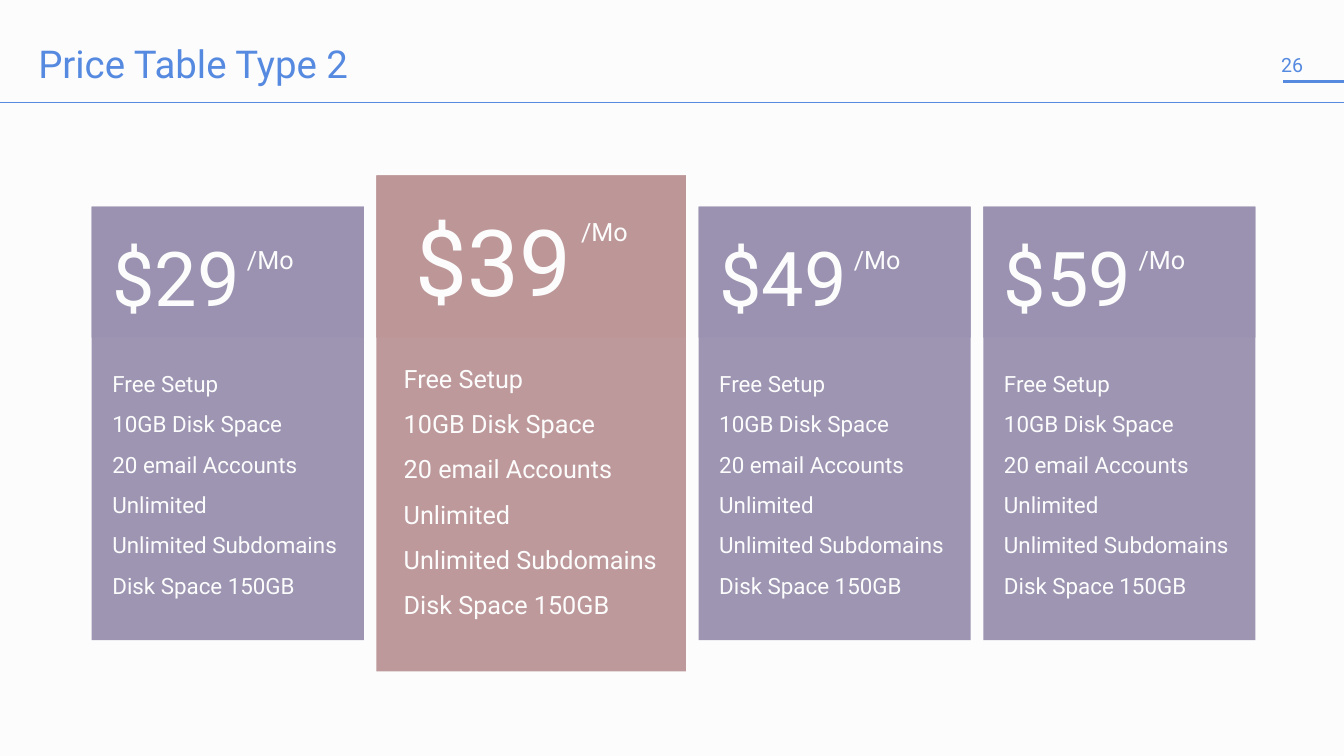
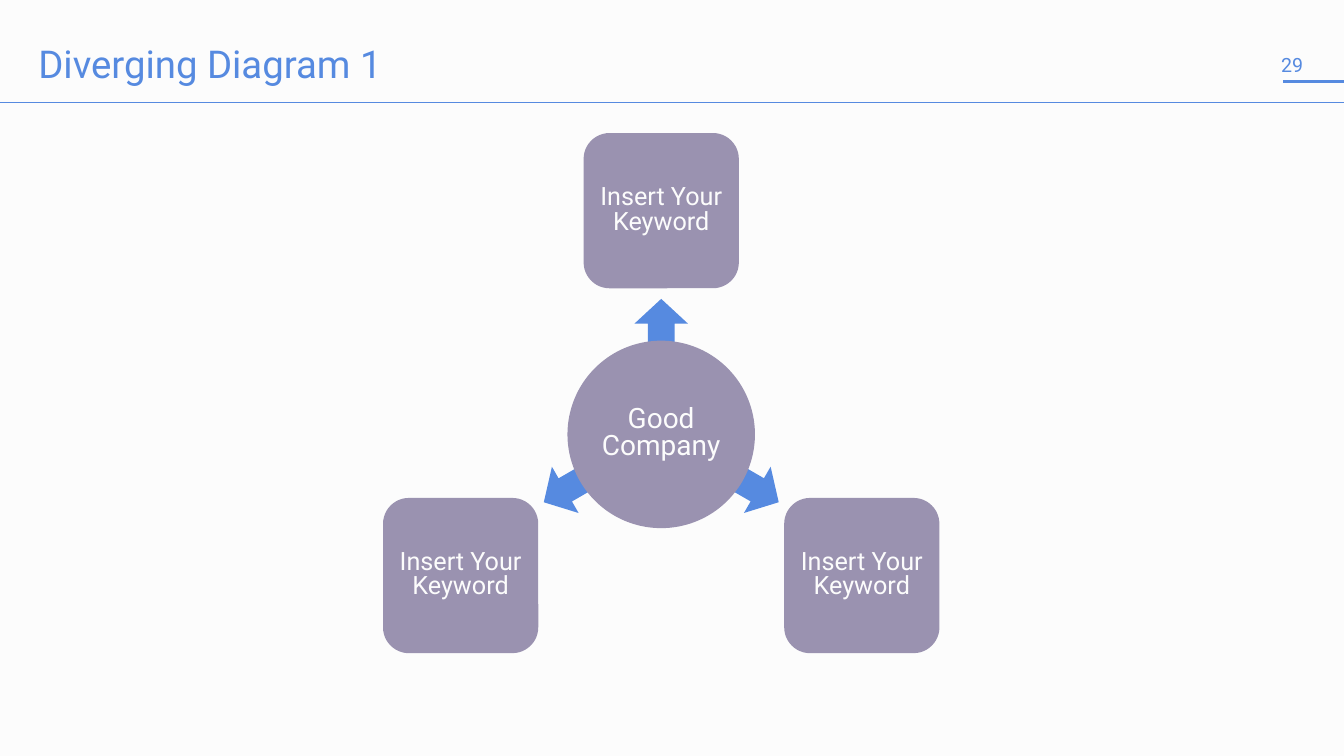
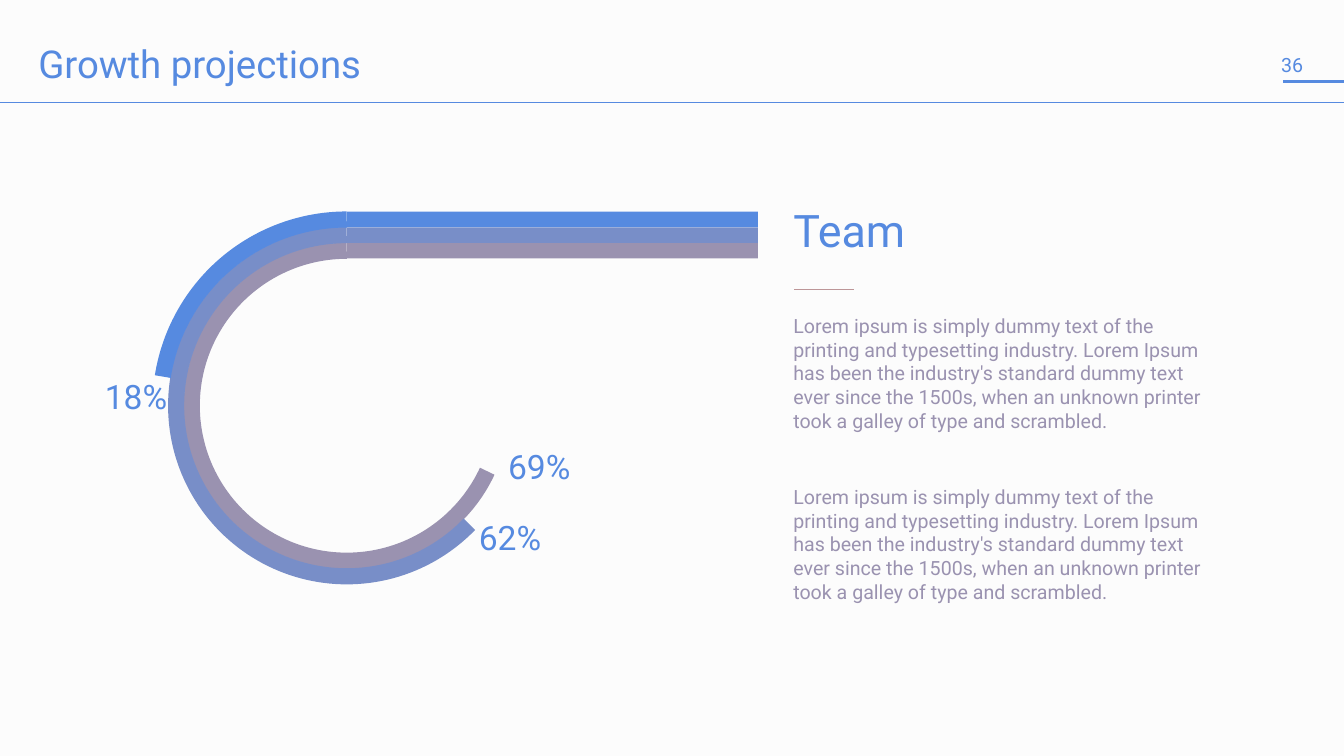
import dataclasses
import math
import typing

import pptx
import pptx.dml.color
import pptx.enum.shapes
import pptx.enum.text
import pptx.oxml
import pptx.oxml.ns
import pptx.util

COLORS = {"paper": "FCFCFC", "blue": "568AE0", "mauve": "9A92B0",
          "rose": "BD9698", "steel": "788EC8"}
FONT = "Roboto"
# The grid has square cells, ten to the inch
CELL = pptx.util.Inches(0.1)
COLUMNS, ROWS = 133.33, 75

SHAPES = pptx.enum.shapes.MSO_SHAPE
ANCHOR = pptx.enum.text.MSO_ANCHOR
ALIGN = pptx.enum.text.PP_ALIGN


class Box(typing.NamedTuple):
    """Column, row, width and height in grid cells."""
    column: float
    row: float
    width: float
    height: float


def centred(x: float, y: float, width: float, height: float) -> Box:
    return Box(x - width / 2, y - height / 2, width, height)


@dataclasses.dataclass(frozen=True)
class TextStyle:
    size: float
    color: str
    spacing: typing.Any = 1.0
    align: typing.Any = ALIGN.LEFT
    anchor: typing.Any = ANCHOR.TOP
    inset: float = 0
    gap: float = 0
    wrap: bool = True


@dataclasses.dataclass(frozen=True)
class CardStyle:
    color: str
    row: float
    width: float
    height: float
    header: float
    price: Box
    price_size: float
    period: Box
    features: Box
    feature_size: float


@dataclasses.dataclass(frozen=True)
class Spoke:
    angle: int
    across: float
    down: float


@dataclasses.dataclass(frozen=True)
class Track:
    color: str
    end_angle: int
    label: str
    label_column: float
    label_row: float


TITLE = TextStyle(27.4, "blue", spacing=0.75, inset=0.5)
PAGE_NUMBER = TextStyle(14, "blue", anchor=ANCHOR.MIDDLE, inset=0.7, wrap=False)


# Shared drawing
def cells(count: float) -> pptx.util.Emu:
    return pptx.util.Emu(round(count * CELL))


def rgb(color: str) -> pptx.dml.color.RGBColor:
    return pptx.dml.color.RGBColor.from_string(COLORS[color])


def move(shape, box: Box) -> None:
    shape.left, shape.top, shape.width, shape.height = map(cells, box)


def write(shape, lines: typing.Sequence[str], style: TextStyle) -> None:
    frame = shape.text_frame
    frame.auto_size = pptx.enum.text.MSO_AUTO_SIZE.NONE
    frame.word_wrap = style.wrap
    frame.vertical_anchor = style.anchor
    frame.margin_left = frame.margin_right = cells(style.inset)
    frame.margin_top = frame.margin_bottom = cells(style.inset)
    for index, line in enumerate(lines):
        para = frame.add_paragraph() if index else frame.paragraphs[0]
        properties = para._p.get_or_add_pPr()
        properties.set("marL", "0")
        properties.set("indent", "0")
        properties.append(pptx.oxml.parse_xml(
            f"<a:buNone {pptx.oxml.ns.nsdecls('a')}/>"))
        para.alignment = style.align
        para.line_spacing = style.spacing
        para.space_before = pptx.util.Pt(style.gap if index else 0)
        span = para.add_run()
        span.text = line
        span.font.name = FONT
        span.font.size = pptx.util.Pt(style.size)
        span.font.bold = False
        span.font.color.rgb = rgb(style.color)


def add_label(page, box: Box, line: str, style: TextStyle) -> None:
    write(page.shapes.add_textbox(*map(cells, box)), [line], style)


def add_block(page, kind, box: Box, color: str, opacity: int = 100):
    block = page.shapes.add_shape(kind, *map(cells, box))
    block.shadow.inherit = False
    block.fill.solid()
    block.fill.fore_color.rgb = rgb(color)
    block.line.fill.background()
    if opacity < 100:
        tint = block.element.spPr.find(".//" + pptx.oxml.ns.qn("a:srgbClr"))
        tint.append(pptx.oxml.parse_xml(
            f"<a:alpha {pptx.oxml.ns.nsdecls('a')} val='{opacity * 1000}'/>"))
    return block


def add_rule(page, start: float, end: float, row: float, color: str, weight: float):
    rule = page.shapes.add_connector(
        pptx.enum.shapes.MSO_CONNECTOR.STRAIGHT,
        cells(start), cells(row), cells(end), cells(row))
    rule.line.color.rgb = rgb(color)
    rule.line.width = pptx.util.Pt(weight)
    rule.element.spPr.append(pptx.oxml.parse_xml(
        f"<a:effectLst {pptx.oxml.ns.nsdecls('a')}/>"))
    return rule


def start_page(deck, layout_name: str, title: str, number: int):
    page = deck.slides.add_slide(deck.slide_layouts.get_by_name(layout_name))
    move(page.shapes.title, Box(3.3, 4.5, 114.3, 5.4))
    write(page.shapes.title, [title], TITLE)
    add_label(page, Box(126.4, 4.6, 3.6, 3.7), str(number), PAGE_NUMBER)
    return page


def dress_master(deck, page) -> None:
    """Draw the header rules on a page, then hand them to the master."""
    master = deck.slide_master
    master.background.fill.solid()
    master.background.fill.fore_color.rgb = rgb("paper")
    rules = [add_rule(page, 127.3, COLUMNS, 8.1, "blue", 2),
             add_rule(page, 0, COLUMNS, 10.2, "blue", 0.5)]
    for identity, rule in enumerate(rules, start=51):
        rule.element.nvCxnSpPr.cNvPr.set("id", str(identity))
        master.shapes.element.append(rule.element)


# Price table
FEATURES = ["Free Setup", "10GB Disk Space", "20 email Accounts", "Unlimited",
            "Unlimited Subdomains", "Disk Space 150GB"]
# Boxes inside a card are measured from its top left corner
PLAIN = CardStyle("mauve", 20.5, 27, 43, 13, Box(2.05, 2.4, 14.1, 9.1), 54,
                  Box(15.4, 3.7, 10.1, 3), Box(2.05, 14.9, 25, 23.8), 16)
FEATURED = CardStyle("rose", 17.4, 30.7, 49.2, 16.1, Box(3.9, 2.8, 17.5, 11.1), 66,
                     Box(20.3, 4.1, 10.1, 3), Box(2.7, 17.1, 26.5, 26.8), 18)
CARDS = [("$29", PLAIN), ("$39", FEATURED), ("$49", PLAIN), ("$59", PLAIN)]
CARD_START, CARD_GAP = 9.1, 1.25


def draw_card(page, column: float, price: str, style: CardStyle, feature_list) -> None:
    def inside(box: Box) -> Box:
        return box._replace(column=column + box.column, row=style.row + box.row)

    for height, opacity in ((style.height, 97), (style.header, 100)):
        add_block(page, SHAPES.RECTANGLE, Box(column, style.row, style.width, height),
                  style.color, opacity)
    add_label(page, inside(style.price), price, TextStyle(style.price_size, "paper"))
    add_label(page, inside(style.period), "/Mo", TextStyle(18, "paper"))
    move(feature_list, inside(style.features))
    write(feature_list, FEATURES, TextStyle(style.feature_size, "paper", spacing=1.5))
    # Bring the list in front of its card
    page.shapes.element.append(feature_list.element)


def draw_price_table(page) -> None:
    lists = [item for item in page.placeholders if item.placeholder_format.idx > 0]
    column = CARD_START
    for (price, style), feature_list in zip(CARDS, lists):
        draw_card(page, column, price, style, feature_list)
        column += style.width + CARD_GAP


# Diverging diagram
HUB_X, HUB_Y, HUB_SIZE = 65.6, 43.1, 18.6
NODE_SIZE, ARROW_DISTANCE = 15.4, 11
SPOKES = [Spoke(270, 0, -22.2), Spoke(30, 19.9, 14), Spoke(150, -19.9, 14)]


def draw_diagram(page) -> None:
    hub_text = TextStyle(20, "paper", 0.8, ALIGN.CENTER, ANCHOR.MIDDLE)
    node_text = dataclasses.replace(hub_text, size=18, inset=0.5)
    for spoke in SPOKES:
        turn = math.radians(spoke.angle)
        arrow = add_block(page, SHAPES.RIGHT_ARROW, centred(
            HUB_X + ARROW_DISTANCE * math.cos(turn),
            HUB_Y + ARROW_DISTANCE * math.sin(turn), 4.9, 5.3), "blue")
        arrow.rotation = spoke.angle
        node = add_block(page, SHAPES.ROUNDED_RECTANGLE, centred(
            HUB_X + spoke.across, HUB_Y + spoke.down, NODE_SIZE, NODE_SIZE), "mauve")
        write(node, ["Insert Your Keyword"], node_text)
    hub = add_block(page, SHAPES.OVAL, centred(HUB_X, HUB_Y, HUB_SIZE, HUB_SIZE), "mauve")
    write(hub, ["Good", "Company"], hub_text)


# Growth projections
TRACKS = [Track("blue", 189, "18%", 9.9, 37.6),
          Track("steel", 44, "62%", 47, 51.6),
          Track("mauve", 25, "69%", 49.9, 44.5)]
RING_X, RING_Y = 34.4, 40.25
BAR_TOP, BAR_HEIGHT, BAR_WIDTH = 21, 1.55, 40.8
LOREM = ("Lorem ipsum is simply dummy text of the printing and typesetting industry. "
         "Lorem Ipsum has been the industry's standard dummy text ever since the 1500s, "
         "when an unknown printer took a galley of type and scrambled.")


def add_arc(page, radius: float, end_angle: int, color: str) -> None:
    arc = page.shapes.add_shape(SHAPES.ARC, *map(
        cells, centred(RING_X, RING_Y, 2 * radius, 2 * radius)))
    arc.shadow.inherit = False
    arc.fill.background()
    arc.line.color.rgb = rgb(color)
    arc.line.width = pptx.util.Pt(11.5)
    # Arc angles are stored as 0.6 units a degree, clockwise from the right
    arc.adjustments[0] = end_angle * 0.6
    arc.adjustments[1] = 270 * 0.6


def draw_growth(page) -> None:
    label_text = TextStyle(24, "blue", spacing=0.8, inset=0.5, wrap=False)
    for index, track in reversed(list(enumerate(TRACKS))):
        top = BAR_TOP + index * BAR_HEIGHT
        add_arc(page, RING_Y - top - BAR_HEIGHT / 2, track.end_angle, track.color)
        add_block(page, SHAPES.RECTANGLE, Box(RING_X, top, BAR_WIDTH, BAR_HEIGHT),
                  track.color)
    for track in TRACKS:
        add_label(page, Box(track.label_column, track.label_row, 7.3, 4.9),
                  track.label, label_text)
    add_label(page, Box(78.2, 20.2, 41.5, 6.3), "Team",
              TextStyle(32, "blue", spacing=0.9, inset=0.5))
    add_rule(page, 78.8, 84.7, 28.7, "rose", 1)
    body = page.placeholders[1]
    move(body, Box(78.2, 30.6, 41.5, 30))
    write(body, [LOREM, LOREM], TextStyle(
        14, "mauve", spacing=pptx.util.Pt(17), inset=0.5, gap=37))


def main() -> None:
    deck = pptx.Presentation()
    deck.slide_width, deck.slide_height = cells(COLUMNS), cells(ROWS)
    prices = start_page(deck, "Comparison", "Price Table Type 2", 26)
    dress_master(deck, prices)
    draw_price_table(prices)
    draw_diagram(start_page(deck, "Title Only", "Diverging Diagram 1", 29))
    draw_growth(start_page(deck, "Title and Content", "Growth projections", 36))
    deck.save("out.pptx")


if __name__ == "__main__":
    main()
